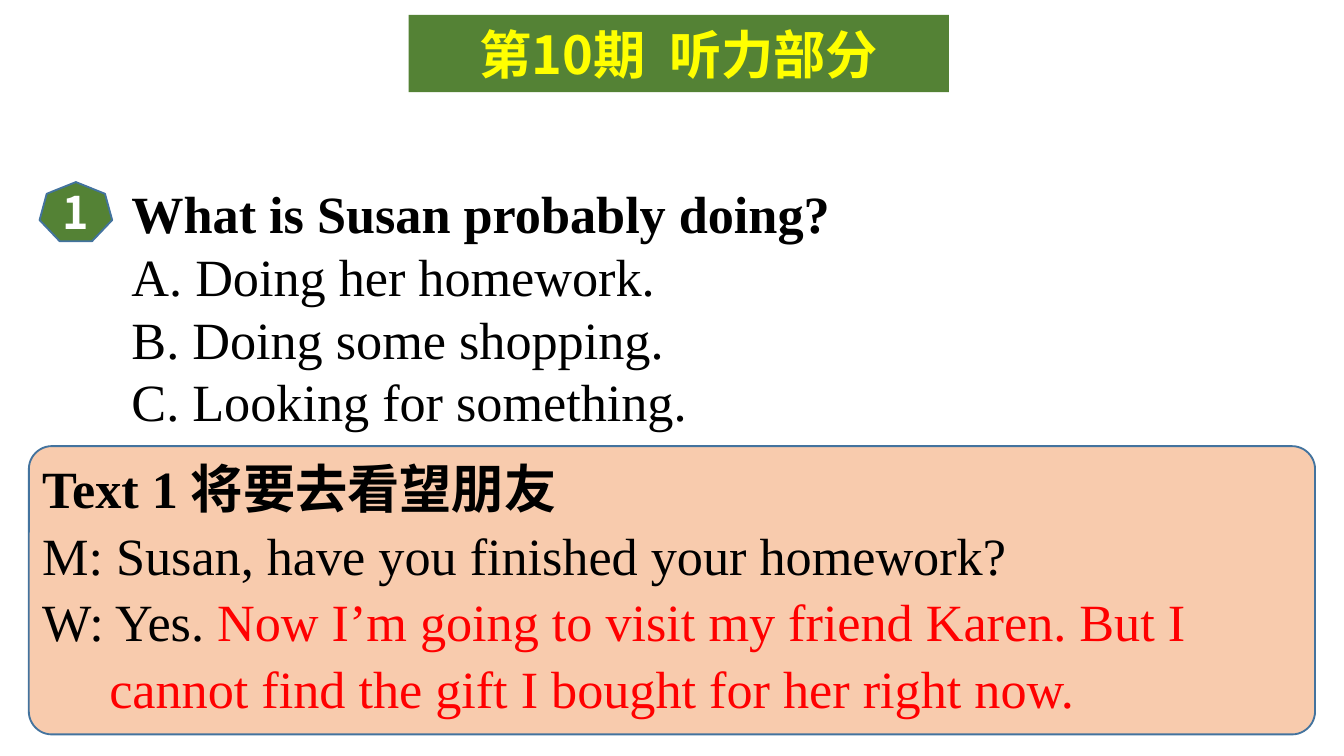
from lxml.etree import SubElement
from pptx import Presentation
from pptx.dml.color import RGBColor
from pptx.enum.shapes import MSO_SHAPE
from pptx.enum.text import MSO_ANCHOR, MSO_AUTO_SIZE, PP_ALIGN
from pptx.oxml.ns import qn
from pptx.util import Pt

PX = 4572  # EMU per px, 200 px to the inch
LATIN, CHINESE = "Times New Roman", "Noto Sans CJK SC"
COLORS = {
    "green": "548235", "peach": "F8CBAD", "outline": "43739E",
    "yellow": "FFFF00", "white": "FFFFFF", "black": "000000", "red": "FF0000",
}


def rgb(name):
    return RGBColor.from_string(COLORS[name])


def box(*lengths):
    return [length * PX for length in lengths]


def set_all(target, values):
    for name, value in values.items():
        setattr(target, name, value)


def paint(shape, fill, line=None):
    shape.fill.solid()
    shape.fill.fore_color.rgb = rgb(fill)
    if line:
        shape.line.color.rgb = rgb(line)
        shape.line.width = Pt(1)
    else:
        shape.line.fill.background()


def add_panel(slide, kind, place, fill, line):
    panel = slide.shapes.add_shape(kind, *box(*place))
    panel.shadow.inherit = False
    paint(panel, fill, line)
    return panel


def add_run(paragraph, text, color="black", bold=False, size=28, font=LATIN):
    run = paragraph.add_run()
    run.text = text
    set_all(run.font, {"name": font, "size": Pt(size), "bold": bold})
    run.font.color.rgb = rgb(color)
    SubElement(run.font._element, qn("a:ea"), typeface=CHINESE)


def write_label(shape, text, color, size):
    """Centre one bold line in a shape."""
    frame = shape.text_frame
    set_all(frame, {
        "auto_size": MSO_AUTO_SIZE.NONE, "vertical_anchor": MSO_ANCHOR.MIDDLE,
        "margin_left": 0, "margin_right": 0, "margin_top": 0,
        "margin_bottom": 0, "word_wrap": True,
    })
    paragraph = frame.paragraphs[0]
    paragraph.alignment = PP_ALIGN.CENTER
    add_run(paragraph, text, color, True, size, CHINESE)


def add_passage(slide, place, heading, lines, spacing=None, hanging=0):
    """Write a bold heading, then lines made of (text, color) parts."""
    frame = slide.shapes.add_textbox(*box(*place)).text_frame
    frame.word_wrap = True
    first = frame.paragraphs[0]
    add_run(first, heading, bold=True)
    for parts in lines:
        paragraph = frame.add_paragraph()
        if hanging:
            properties = paragraph._p.get_or_add_pPr()
            properties.set("marL", str(hanging * PX))
            properties.set("indent", str(-hanging * PX))
        for text, color in parts:
            add_run(paragraph, text, color)
    if spacing:
        for paragraph in frame.paragraphs:
            paragraph.line_spacing = Pt(spacing)


def main():
    deck = Presentation()
    deck.slide_width, deck.slide_height = box(2000, 1125)
    slide = deck.slides.add_slide(deck.slide_layouts[5])

    # Title banner
    banner = slide.shapes.title
    set_all(banner, dict(zip(("left", "top", "width", "height"),
                             box(608, 22, 804, 115))))
    paint(banner, "green")
    write_label(banner, "第10期  听力部分", "yellow", 28)

    # Listening text on its panel
    panel = add_panel(slide, MSO_SHAPE.ROUNDED_RECTANGLE,
                      (43, 664, 1914, 429), "peach", "outline")
    panel.adjustments[0] = 0.08
    add_passage(slide, (43, 664, 1896, 420), "Text 1 将要去看望朋友", [
        [("M: Susan, have you finished your homework?", "black")],
        [("W: Yes. ", "black"),
         ("Now I’m going to visit my friend Karen. But I cannot find "
          "the gift I bought for her right now.", "red")],
    ], spacing=35.6, hanging=100)

    # Question and its choices
    choices = ["A. Doing her homework.", "B. Doing some shopping.",
               "C. Looking for something."]
    add_passage(slide, (176, 260, 1610, 396), "What is Susan probably doing?",
                [[(choice, "black")] for choice in choices])

    # Question number
    number = add_panel(slide, MSO_SHAPE.HEPTAGON, (59, 271, 108, 88),
                       "green", "outline")
    write_label(number, "1", "white", 24)

    deck.save("out.pptx")


if __name__ == "__main__":
    main()
